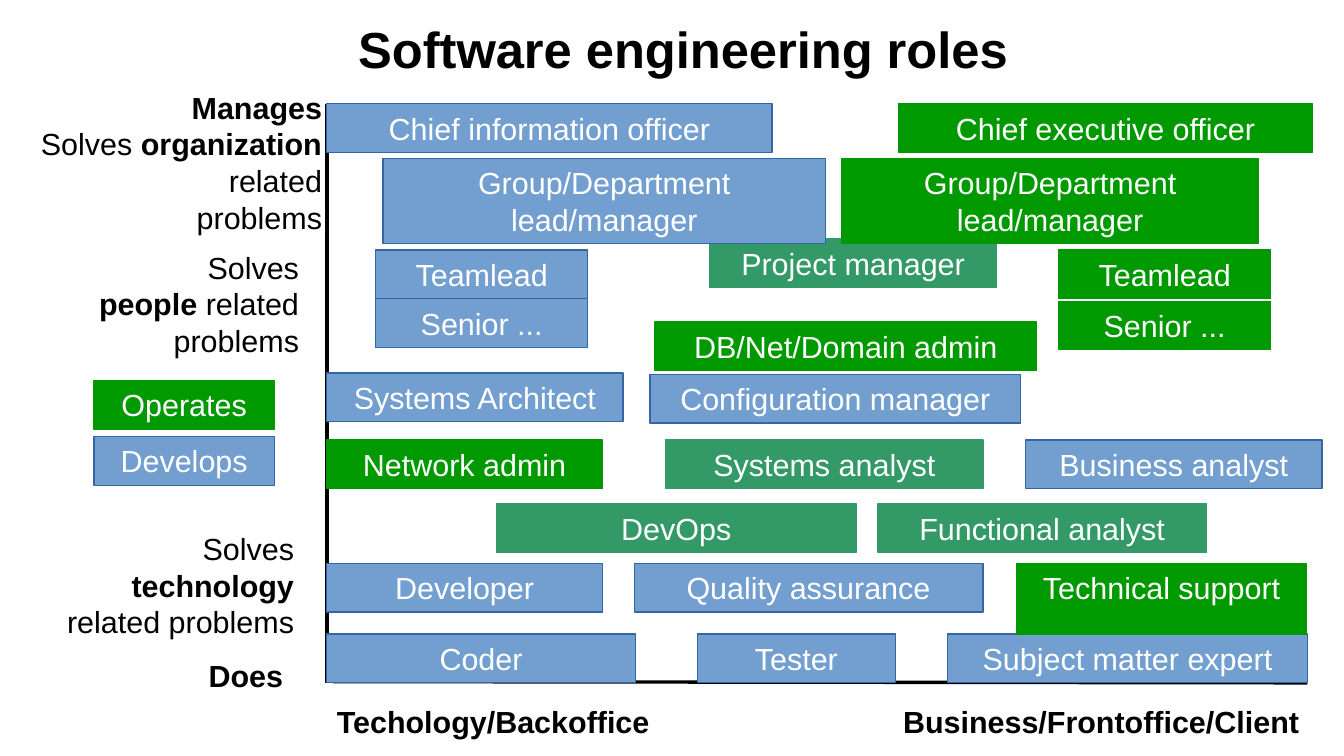
from lxml import etree
from pptx import Presentation
from pptx.dml.color import RGBColor
from pptx.enum.shapes import MSO_CONNECTOR, MSO_SHAPE
from pptx.enum.text import MSO_ANCHOR, PP_ALIGN
from pptx.oxml.ns import qn
from pptx.util import Inches, Pt

LEFT, CENTER, RIGHT = PP_ALIGN.LEFT, PP_ALIGN.CENTER, PP_ALIGN.RIGHT
TOP, MIDDLE = MSO_ANCHOR.TOP, MSO_ANCHOR.MIDDLE
RECTANGLE, STRAIGHT = MSO_SHAPE.RECTANGLE, MSO_CONNECTOR.STRAIGHT

# Content
FONT, BODY_SIZE, TITLE_SIZE = "Arial", 18, 29.9
BLACK, WHITE = "000000", "FFFFFF"
BOX_HEIGHT, TALL_HEIGHT, SUPPORT_HEIGHT = 0.4, 0.7, 0.58
AXIS_LEFT = 2.68

# Kind of work: fill, outline
KINDS = {
    "develops": ("729FCF", "3465A4"),
    "operates": ("009900", "009900"),
    "mixed": ("339966", "339966"),
}

TITLE = "Software engineering roles"

# Axis lines: start x, start y, end x, end y
AXES = [(AXIS_LEFT, 5.6, AXIS_LEFT, 0.85), (2.73, 5.59, 10.72, 5.6)]

# Axis labels: left, top, width, height, alignment, paragraphs of (text, bold)
LABELS = [
    (-0.02, 0.68, 2.76, 1.3, RIGHT, [
        [("Manages", True)],
        [("Solves ", False), ("organization", True)],
        [("related", False)],
        [("problems", False)],
    ]),
    (0.56, 1.99, 1.99, 1.07, RIGHT, [
        [("Solves", False)],
        [("people", True), (" related", False)],
        [("problems", False)],
    ]),
    (0.34, 4.3, 2.17, 1.07, RIGHT, [
        [("Solves ", False), ("technology", True), (" related problems", False)],
    ]),
    (1.47, 5.34, 0.95, 0.4, RIGHT, [[("Does", True)]]),
    (2.51, 5.72, 3.07, 0.4, CENTER, [[("Techology/Backoffice", True)]]),
    (7.13, 5.72, 3.8, 0.4, CENTER, [[("Business/Frontoffice/Client", True)]]),
]

# Rows from back to front: top, height, boxes of (text, kind, left, width)
ROWS = [
    (0.85, BOX_HEIGHT, [
        ("Chief information officer", "develops", AXIS_LEFT, 3.65),
        ("Chief executive officer", "operates", 7.37, 3.39),
    ]),
    (5.2, BOX_HEIGHT, [
        ("Coder", "develops", AXIS_LEFT, 2.53),
        ("Tester", "develops", 5.72, 1.62),
        ("Subject matter expert", "develops", 7.77, 2.95),
    ]),
    (4.62, BOX_HEIGHT, [
        ("Developer", "develops", AXIS_LEFT, 2.26),
        ("Quality assurance", "develops", 5.2, 2.86),
    ]),
    (4.62, SUPPORT_HEIGHT, [("Technical support", "operates", 8.34, 2.37)]),
    (4.13, BOX_HEIGHT, [
        ("DevOps", "mixed", 4.07, 2.95),
        ("Functional analyst", "mixed", 7.2, 2.69),
    ]),
    (3.61, BOX_HEIGHT, [
        ("Network admin", "operates", AXIS_LEFT, 2.26),
        ("Systems analyst", "mixed", 5.46, 2.6),
        ("Business analyst", "develops", 8.41, 2.43),
    ]),
    (3.06, BOX_HEIGHT, [("Systems Architect", "develops", AXIS_LEFT, 2.43)]),
    (2.64, BOX_HEIGHT, [("DB/Net/Domain admin", "operates", 5.37, 3.13)]),
    (3.07, BOX_HEIGHT, [("Configuration manager", "develops", 5.33, 3.04)]),
    (3.12, BOX_HEIGHT, [("Operates", "operates", 0.77, 1.48)]),
    (3.58, BOX_HEIGHT, [("Develops", "develops", 0.77, 1.48)]),
    (1.96, BOX_HEIGHT, [("Project manager", "mixed", 5.82, 2.35)]),
    (2.05, BOX_HEIGHT, [
        ("Teamlead", "develops", 3.08, 1.74),
        ("Teamlead", "operates", 8.68, 1.74),
    ]),
    (2.45, BOX_HEIGHT, [("Senior ...", "develops", 3.08, 1.74)]),
    (2.47, BOX_HEIGHT, [("Senior ...", "operates", 8.68, 1.74)]),
    (1.3, TALL_HEIGHT, [
        ("Group/Department lead/manager", "operates", 6.9, 3.42),
        ("Group/Department lead/manager", "develops", 3.14, 3.63),
    ]),
]


def color(hex_value):
    return RGBColor.from_string(hex_value)


def write(shape, paragraphs, align, text_color, size=BODY_SIZE, anchor=TOP, margins=(0.1, 0.05)):
    frame = shape.text_frame
    frame.word_wrap = True
    frame.vertical_anchor = anchor
    frame.margin_left = frame.margin_right = Inches(margins[0])
    frame.margin_top = frame.margin_bottom = Inches(margins[1])
    frame.text = "\n".join("" for _ in paragraphs)
    for paragraph, pieces in zip(frame.paragraphs, paragraphs):
        paragraph.alignment = align
        for text, bold in pieces:
            run = paragraph.add_run()
            run.text = text
            run.font.name = FONT
            run.font.size = Pt(size)
            run.font.bold = bold
            run.font.color.rgb = color(text_color)


def add_axis(slide, *ends):
    axis = slide.shapes.add_connector(STRAIGHT, *map(Inches, ends))
    axis.line.color.rgb = color(BLACK)
    axis.line.width = Pt(0)
    etree.SubElement(axis._element.spPr, qn("a:effectLst"))


def add_box(slide, text, kind, left, top, width, height):
    fill, outline = KINDS[kind]
    box = slide.shapes.add_shape(RECTANGLE, *map(Inches, (left, top, width, height)))
    box.shadow.inherit = False
    box.fill.solid()
    box.fill.fore_color.rgb = color(fill)
    box.line.color.rgb = color(outline)
    box.line.width = Pt(0)
    write(box, [[(text, False)]], CENTER, WHITE)


def main():
    deck = Presentation()
    deck.slide_width, deck.slide_height = Inches(11.02), Inches(6.2)
    slide = deck.slides.add_slide(deck.slide_layouts[6])

    # Title
    title = slide.shapes.add_textbox(*map(Inches, (0.64, 0.16, 9.92, 0.47)))
    write(title, [[(TITLE, True)]], CENTER, BLACK, TITLE_SIZE, MIDDLE, (0, 0))

    # Axes and their labels
    for ends in AXES:
        add_axis(slide, *ends)
    for left, top, width, height, align, paragraphs in LABELS:
        label = slide.shapes.add_textbox(*map(Inches, (left, top, width, height)))
        write(label, paragraphs, align, BLACK)

    # Roles and colour key
    for top, height, boxes in ROWS:
        for text, kind, left, width in boxes:
            add_box(slide, text, kind, left, top, width, height)

    deck.save("out.pptx")


if __name__ == "__main__":
    main()
